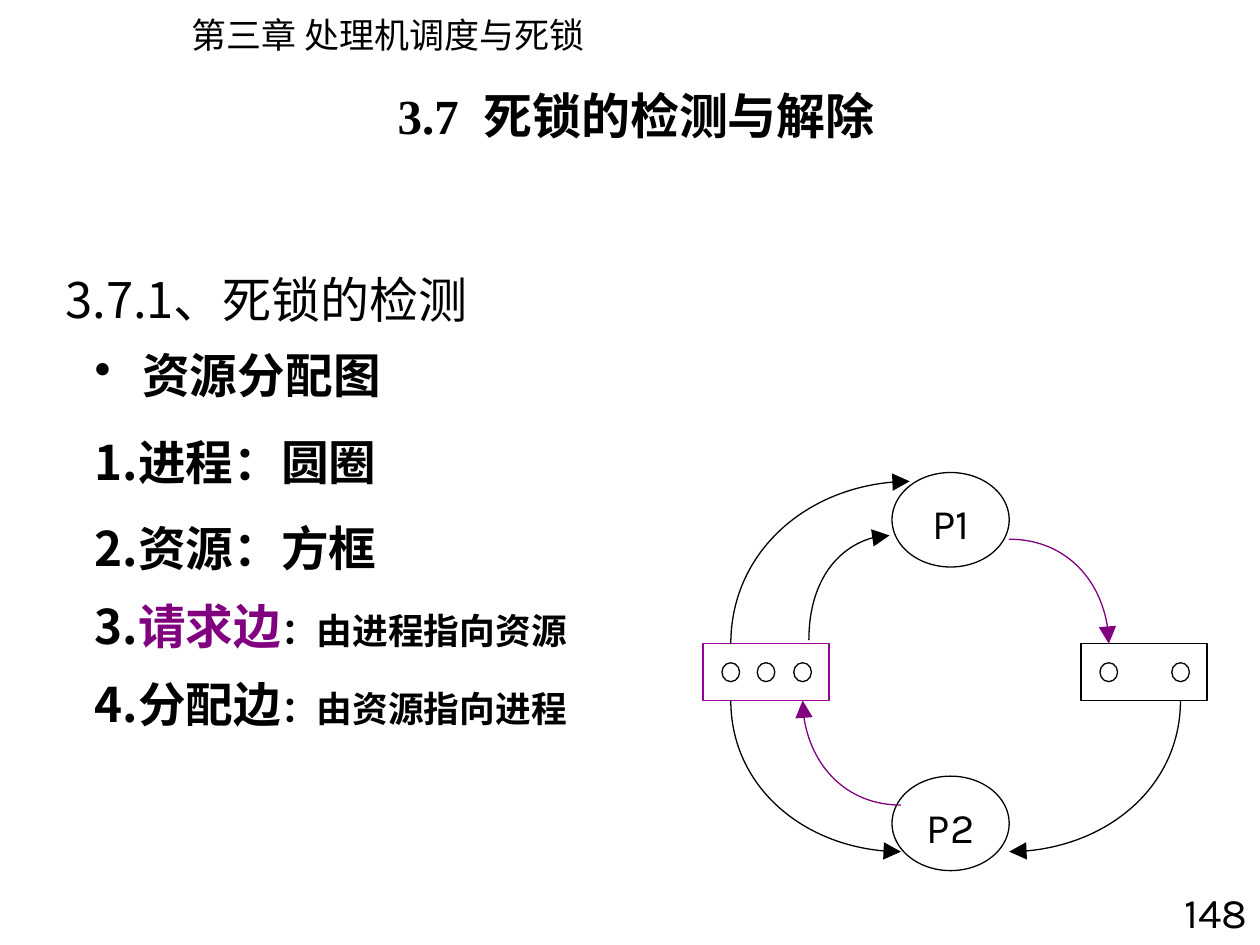
"""Build the slide on deadlock detection with its resource allocation graph."""
from lxml import etree
from pptx import Presentation
from pptx.dml.color import RGBColor
from pptx.enum.shapes import MSO_SHAPE
from pptx.enum.text import MSO_ANCHOR, PP_ALIGN
from pptx.oxml.ns import qn
from pptx.util import Inches, Pt

BLACK = RGBColor(0x00, 0x00, 0x00)
PURPLE = RGBColor(0x80, 0x00, 0x80)
VIOLET = RGBColor(0x99, 0x00, 0x99)
OVAL, RECT = MSO_SHAPE.OVAL, MSO_SHAPE.RECTANGLE
LEFT, CENTER, RIGHT = PP_ALIGN.LEFT, PP_ALIGN.CENTER, PP_ALIGN.RIGHT
MIDDLE, TOP = MSO_ANCHOR.MIDDLE, MSO_ANCHOR.TOP
SANS, HEAD, SERIF, KARLA = "Noto Sans CJK SC", "Noto Sans CJK JP", "Times New Roman", "Karla"
BEND = 0.55

prs = Presentation()
prs.slide_width, prs.slide_height = Inches(10), Inches(7.5)
slide = prs.slides.add_slide(prs.slide_layouts[6])
shapes = slide.shapes


def add_run(para, text, size, face, bold=False, color=BLACK):
    run = para.add_run()
    run.text = text
    font = run.font
    font.size, font.name, font.bold = Pt(size), face, bold
    font.color.rgb = color
    east = HEAD if face == HEAD else SANS
    etree.SubElement(run._r.rPr, qn("a:ea"), typeface=east)


def add_node(kind, x, y, w, h, color=BLACK):
    node = shapes.add_shape(kind, Inches(x), Inches(y), Inches(w), Inches(h))
    node.shadow.inherit = False
    node.fill.background()
    node.line.color.rgb = color
    node.line.width = Pt(0.75)


labels = [
    ("第三章 处理机调度与死锁", 1.42, 0.06, 3.38, 0.44, 20, HEAD, False, LEFT, TOP, False, 1.0),
    ("3.7.1、死锁的检测", 0.42, 2, 9, 0.75, 28, SANS, False, LEFT, MIDDLE, True, 1.0),
    ("3.7  死锁的检测与解除", 0.51, 0.68, 9.08, 0.83, 28, SERIF, True, CENTER, TOP, True, 0.9),
    ("148", 9, 6.99, 1, 0.56, 24, KARLA, False, RIGHT, TOP, True, 1.0),
    ("P1", 7.08, 3.9, 0.93, 0.5, 24, KARLA, False, CENTER, TOP, True, 1.0),
    ("P2", 7.08, 6.31, 0.93, 0.5, 24, KARLA, False, CENTER, TOP, True, 1.0),
]
for text, x, y, w, h, size, face, bold, align, anchor, wrap, pitch in labels:
    frame = shapes.add_textbox(Inches(x), Inches(y), Inches(w), Inches(h)).text_frame
    frame.word_wrap, frame.vertical_anchor = wrap, anchor
    para = frame.paragraphs[0]
    para.alignment, para.line_spacing = align, pitch
    add_run(para, text, size, face, bold)

BIG, SMALL = 27.2, 20.4
points = [
    (0, [("资源分配图", BIG, BLACK)]),
    (20, [("1.进程：圆圈", BIG, BLACK)]),
    (20, [("2.资源：方框", BIG, BLACK)]),
    (15, [("3.", BIG, BLACK), ("请求边", BIG, PURPLE), ("：由进程指向资源", SMALL, BLACK)]),
    (15, [("4.分配边", BIG, BLACK), ("：由资源指向进程", SMALL, BLACK)]),
]
body = shapes.add_textbox(Inches(0.75), Inches(2.75), Inches(4.19), Inches(3.63)).text_frame
body.word_wrap = True
body.margin_left = body.margin_right = 0
for row, (gap, runs) in enumerate(points):
    para = body.add_paragraph() if row else body.paragraphs[0]
    para.line_spacing = 0.9
    props = para._p.get_or_add_pPr()
    props.set("marL", str(Inches(0.38)))
    props.set("indent", str(-Inches(0.38)))
    if row:
        para.space_before = Pt(gap)
    else:
        etree.SubElement(props, qn("a:buChar"), char="•")
    for text, size, color in runs:
        add_run(para, text, size, SANS, True, color)

for y in (3.75, 6.16):
    add_node(OVAL, 7.08, y, 0.93, 0.75)
for x, color, dots in ((5.58, VIOLET, (0.15, 0.43, 0.72)), (8.58, BLACK, (0.15, 0.72))):
    add_node(RECT, x, 5.11, 1, 0.45, color)
    for dot in dots:
        add_node(OVAL, x + dot, 5.26, 0.14, 0.15)

edges = [
    (7.15, 6.76, 5.8, 5.56, "headEnd", BLACK),
    (7.15, 6.39, 6.37, 5.56, "tailEnd", PURPLE),
    (8.01, 6.76, 9.37, 5.56, "headEnd", BLACK),
    (8.01, 4.28, 8.8, 5.11, "tailEnd", PURPLE),
    (7.22, 3.82, 5.8, 5.11, "headEnd", BLACK),
    (7.06, 4.25, 6.42, 5.08, "headEnd", BLACK),
]
for x1, y1, x2, y2, end, color in edges:
    pen = shapes.build_freeform(Inches(x1), Inches(y1))
    pen.add_line_segments([(Inches(x2), Inches(y2))], close=False)
    edge = pen.convert_to_shape()
    edge.shadow.inherit = False
    edge.fill.background()
    edge.line.color.rgb = color
    edge.line.width = Pt(0.75)
    etree.SubElement(edge.line._get_or_add_ln(), qn("a:" + end),
                     type="triangle", w="lg", len="lg")
    (px, py), (qx, qy) = [(int(pt.get("x")), int(pt.get("y")))
                          for pt in edge._element.iter(qn("a:pt"))]
    step = next(edge._element.iter(qn("a:lnTo")))
    curve = etree.Element(qn("a:cubicBezTo"))
    for x, y in ((px + BEND * (qx - px), py), (qx, qy - BEND * (qy - py)), (qx, qy)):
        etree.SubElement(curve, qn("a:pt"), x=str(round(x)), y=str(round(y)))
    step.getparent().replace(step, curve)

prs.save("out.pptx")
